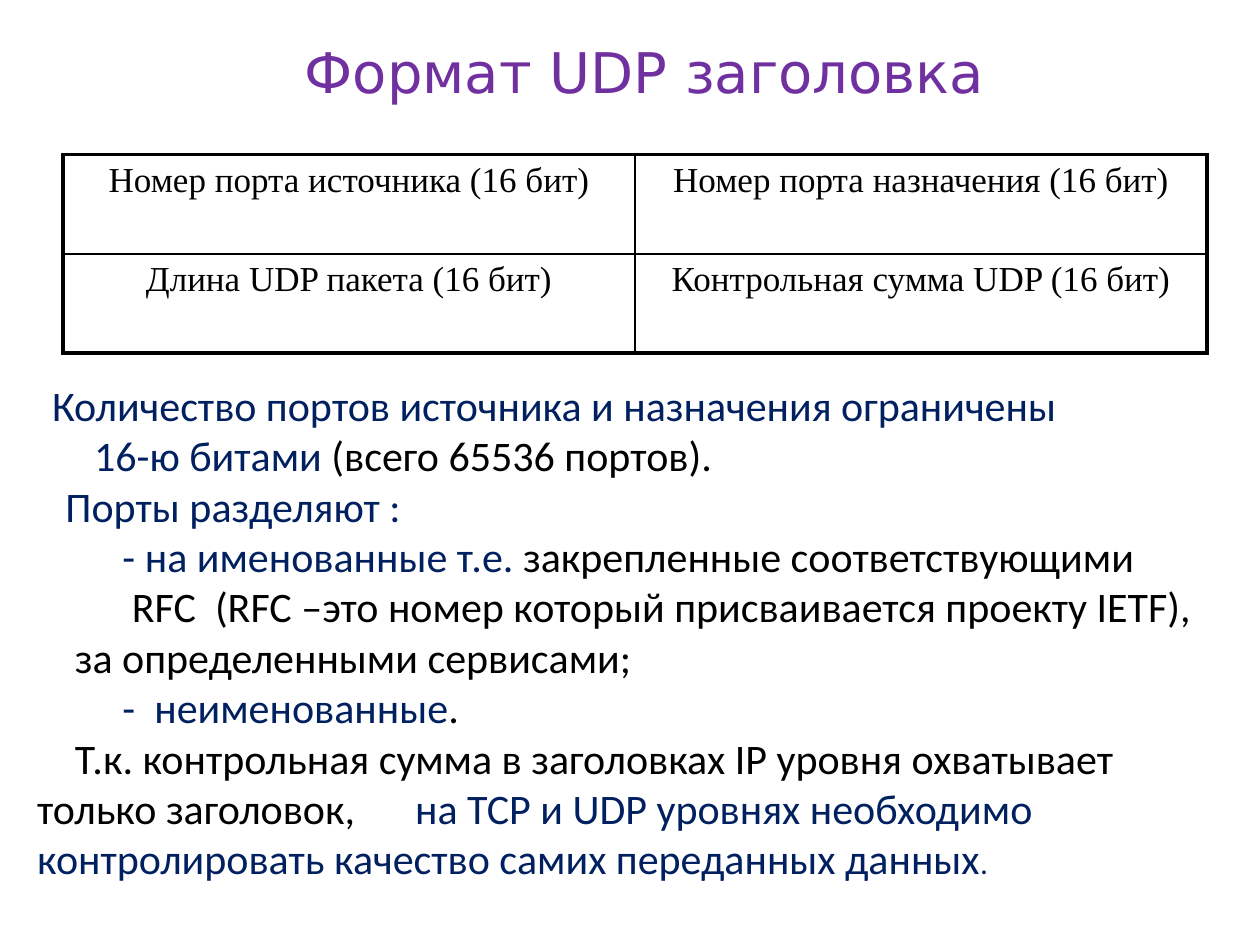
import pptx
import pptx.util
import pptx.dml.color
import pptx.enum.text
import pptx.oxml.ns
from lxml import etree

Cm, Pt = pptx.util.Cm, pptx.util.Pt
qn = pptx.oxml.ns.qn
CENTER = pptx.enum.text.PP_ALIGN.CENTER
COLORS = {"title": "7030A0", "accent": "002060", "text": "000000"}


def style(r, font, size, color):
    r.font.name = font
    r.font.size = Pt(size)
    r.font.color.rgb = pptx.dml.color.RGBColor.from_string(COLORS[color])


def add_border(cell, side, width):
    """Draw one cell edge; side is L, R, T or B."""
    ln = etree.SubElement(cell._tc.get_or_add_tcPr(), qn(f"a:ln{side}"), w=str(Pt(width)))
    fill = etree.SubElement(ln, qn("a:solidFill"))
    etree.SubElement(fill, qn("a:srgbClr"), val=COLORS["text"])


prs = pptx.Presentation()
prs.slide_width, prs.slide_height = Cm(25.4), Cm(19.05)
s = prs.slides.add_slide(prs.slide_layouts[6])

# Title
tf = s.shapes.add_textbox(Cm(1.5), Cm(0.64), Cm(23), Cm(1.6)).text_frame
tf.word_wrap = True
p = tf.paragraphs[0]
p.text = "Формат UDP заголовка"
p.alignment = CENTER
style(p.runs[0], "DejaVu Sans", 32, "title")

# Body: left margin and first-line indent in cm, then the coloured runs
body = [
    (0.3, 0, [("Количество портов источника и назначения ограничены", "accent")]),
    (1.15, 0, [("16-ю битами", "accent"), (" (всего 65536 портов).", "text")]),
    (0.57, 0, [("Порты разделяют :", "accent")]),
    (1.72, 0, [("- на именованные т.е. ", "accent"),
               ("закрепленные соответствующими", "text")]),
    (0.76, 1.15, [("RFC  (RFC –это номер который присваивается проекту IETF), "
                   "за определенными сервисами;", "text")]),
    (1.72, 0, [("-  неименованные", "accent"), (".", "text")]),
    (0, 0.76, [("Т.к. контрольная сумма в заголовках IP уровня охватывает "
                "только заголовок,\t", "text"),
               ("на TCP и UDP уровнях необходимо контролировать качество "
                "самих переданных данных", "accent"),
               (".", "accent")]),
]
tf = s.shapes.add_textbox(Cm(0.5), Cm(7.52), Cm(24), Cm(10.5)).text_frame
tf.word_wrap = True
for i, (margin, indent, runs) in enumerate(body):
    p = tf.paragraphs[0] if i == 0 else tf.add_paragraph()
    pPr = p._p.get_or_add_pPr()
    pPr.set("marL", str(Cm(margin)))
    pPr.set("indent", str(Cm(indent)))
    if any("\t" in text for text, color in runs):
        tabs = etree.SubElement(pPr, qn("a:tabLst"))
        etree.SubElement(tabs, qn("a:tab"), pos=str(Cm(7.37)), algn="l")
    for text, color in runs:
        r = p.add_run()
        r.text = text
        style(r, "Calibri", 24, color)
r.font.size = Pt(18)  # closing full stop is smaller

# Header fields: thick outer frame, thin inner lines
fields = [
    ["Номер порта источника (16 бит)", "Номер порта назначения (16 бит)"],
    ["Длина UDP пакета (16 бит)", "Контрольная сумма UDP (16 бит)"],
]
table = s.shapes.add_table(2, 2, Cm(1.27), Cm(3.12), Cm(23.06), Cm(4)).table
table.first_row = table.horz_banding = False
for y, row in enumerate(fields):
    for x, text in enumerate(row):
        cell = table.cell(y, x)
        p = cell.text_frame.paragraphs[0]
        p.text = text
        p.alignment = CENTER
        style(p.runs[0], "Times New Roman", 20, "text")
        outer = {"L": x == 0, "R": x == 1, "T": y == 0, "B": y == 1}
        for side, is_outer in outer.items():
            add_border(cell, side, 2.25 if is_outer else 1)
        cell.fill.background()

prs.save("out.pptx")
